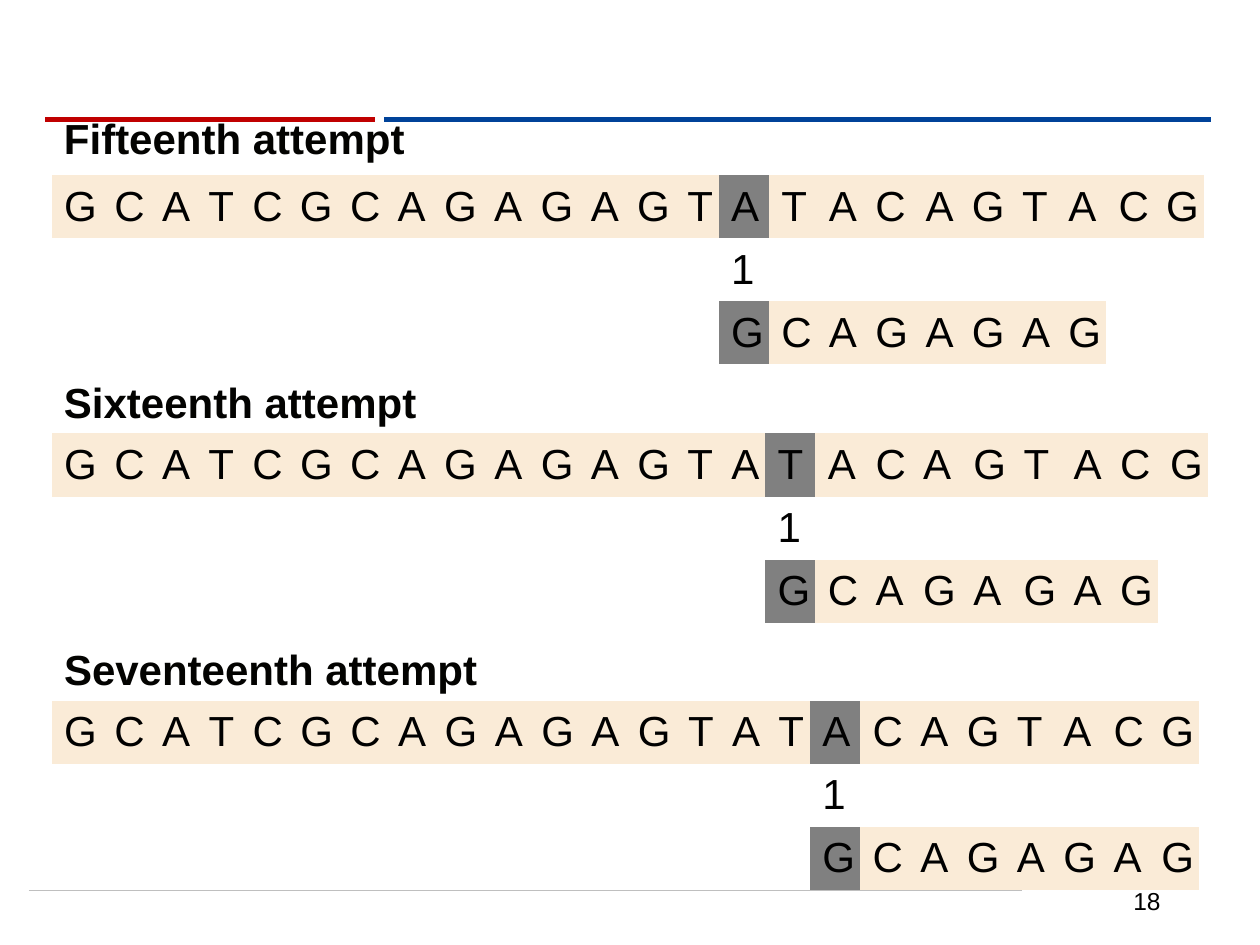
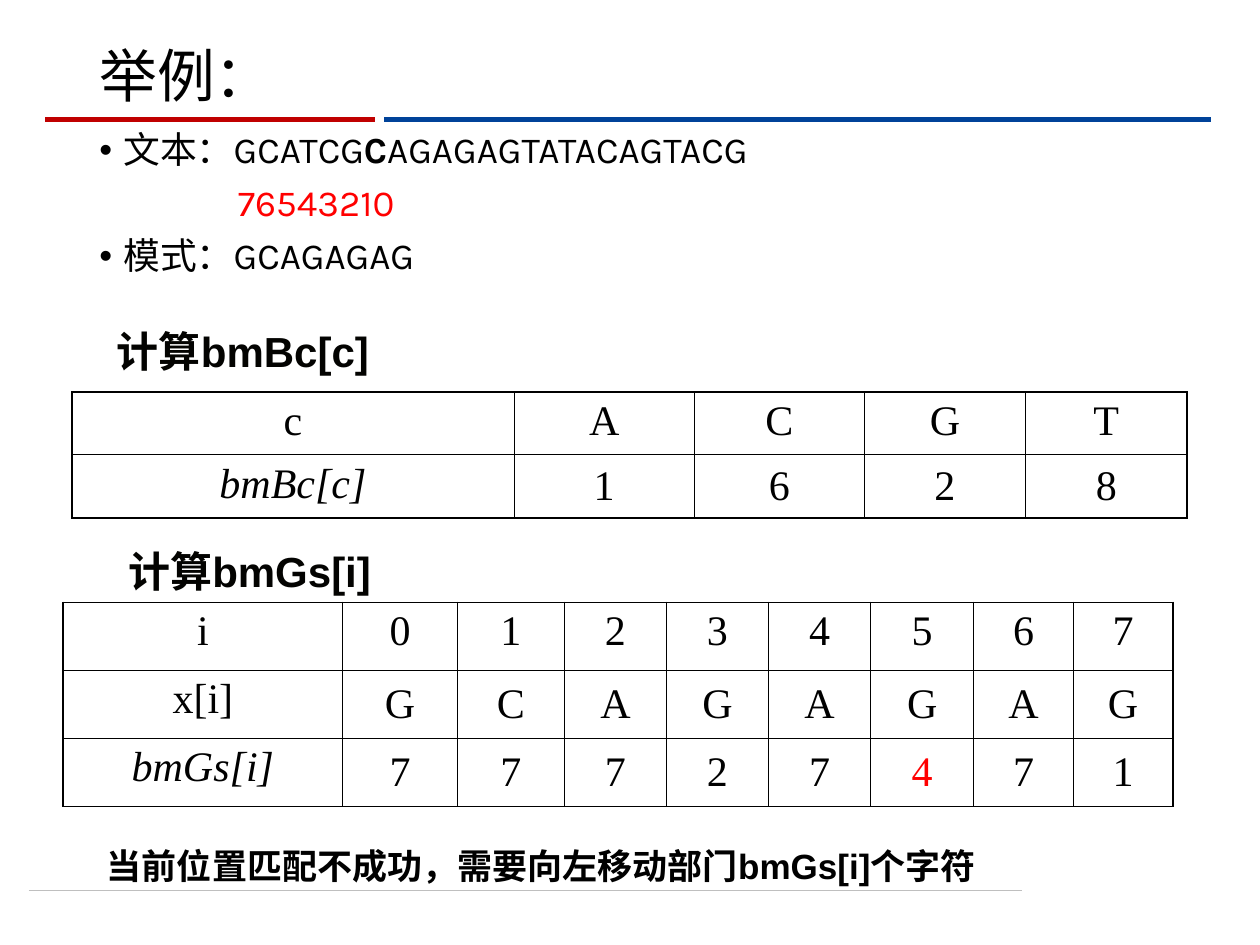
from dataclasses import dataclass
from typing import Any, Optional

from lxml.etree import SubElement
from pptx import Presentation
from pptx.dml.color import RGBColor
from pptx.enum.shapes import MSO_CONNECTOR
from pptx.enum.text import MSO_ANCHOR, PP_ALIGN
from pptx.oxml.ns import qn
from pptx.slide import Slide
from pptx.table import Table, _Cell
from pptx.text.text import TextFrame
from pptx.util import Inches, Pt

BLACK = RGBColor(0x00, 0x00, 0x00)
HEADING_INK = RGBColor(0x03, 0x03, 0x01)
RED = RGBColor(0xFF, 0x00, 0x00)
WHITE = RGBColor(0xFF, 0xFF, 0xFF)
BAND_RED = RGBColor(0xC0, 0x00, 0x00)
BAND_BLUE = RGBColor(0x00, 0x42, 0x99)
FOOTER_GRAY = RGBColor(0xBF, 0xBF, 0xBF)
SEQUENCE_FILL = RGBColor(0xFA, 0xEB, 0xD7)
COMPARED_FILL = RGBColor(0x80, 0x80, 0x80)

TITLE = {"name": "Karla", "size": Pt(33)}
BODY = {"name": "Karla", "size": Pt(21)}
HEADING = {"name": "Arial", "size": Pt(24), "bold": True}
CONCLUSION = {"name": "Arial", "size": Pt(20), "bold": True}
PAGE_NUMBER = {"name": "Arial", "size": Pt(14)}
LETTER = {"name": "Arial", "size": Pt(24)}
VALUE = {"name": "Times New Roman", "size": Pt(24)}

NO_GRID_STYLE = "{2D5ABB26-0587-4C30-8999-92F81FD0307C}"
TEXT = "GCATCGCAGAGAGTATACAGTACG"
PATTERN = "GCAGAGAG"
SHARED_WIDTHS = [0.4, 0.38, 0.37, 0.35, 0.38, 0.4, 0.38, 0.37, 0.4, 0.37, 0.4, 0.37, 0.4, 0.35]


@dataclass(frozen=True)
class Rule:
    """A horizontal line shared by the slides."""

    left: float
    right: float
    top: float
    color: RGBColor
    weight: float


@dataclass(frozen=True)
class Label:
    """A text box with one line of text."""

    text: str
    box: tuple[float, float, float, float]
    font: dict[str, Any]
    color: RGBColor = BLACK
    anchor: MSO_ANCHOR = MSO_ANCHOR.TOP
    align: PP_ALIGN = PP_ALIGN.LEFT
    spacing: float = 1.0


@dataclass(frozen=True)
class Attempt:
    """One alignment of the pattern under the text."""

    name: str
    name_top: float
    name_width: float
    top: float
    width: float
    shift: int
    last_widths: list[float]


@dataclass(frozen=True)
class ShiftTable:
    """A table of shift values with a heading above it."""

    heading: Label
    left: float
    top: float
    widths: list[float]
    row_height: float
    rows: list[list[str]]
    marked: Optional[tuple[int, int]] = None


RULES = [
    Rule(0.23, 8.11, 7.07, FOOTER_GRAY, 0.5),
    Rule(3.05, 9.61, 0.95, BAND_BLUE, 3),
    Rule(0.36, 2.98, 0.95, BAND_RED, 3),
]

ATTEMPTS = [
    Attempt("Fifteenth attempt", 0.84, 2.97, 1.39, 9.15, 14,
            [0.4, 0.38, 0.37, 0.4, 0.37, 0.4, 0.37, 0.4, 0.38, 0.4]),
    Attempt("Sixteenth attempt", 2.94, 3.07, 3.44, 9.18, 15,
            [0.37, 0.4, 0.38, 0.38, 0.4, 0.4, 0.4, 0.37, 0.4, 0.4]),
    Attempt("Seventeenth attempt", 5.06, 3.55, 5.56, 9.11, 16,
            [0.37, 0.35, 0.4, 0.38, 0.37, 0.4, 0.37, 0.4, 0.38, 0.4]),
]

SHIFT_TABLES = [
    ShiftTable(
        Label("计算bmBc[c]", (0.83, 2.61, 8, 0.42), HEADING, HEADING_INK, spacing=0.8),
        0.57, 3.11, [3.51, 1.43, 1.35, 1.28, 1.28], 0.5,
        [["c", *"ACGT"], ["bmBc[c]", *"1628"]],
    ),
    ShiftTable(
        Label("计算bmGs[i]", (0.92, 4.36, 8, 0.42), HEADING, HEADING_INK, spacing=0.8),
        0.5, 4.78, [2.22, 0.91, 0.85, 0.81, 0.81, 0.81, 0.82, 0.79, 0.79], 0.54,
        [["i", *"01234567"], ["x[i]", *PATTERN], ["bmGs[i]", *"77727471"]],
        marked=(2, 6),
    ),
]


def set_format(target: Any, values: dict[str, Any]) -> None:
    """Set each named attribute of the target."""
    for attribute, value in values.items():
        setattr(target, attribute, value)


def add_run(paragraph: Any, text: str, font: dict[str, Any], color: RGBColor) -> None:
    """Append a formatted run to the paragraph."""
    run = paragraph.add_run()
    run.text = text
    set_format(run.font, font)
    run.font.color.rgb = color


def add_frame(slide: Slide, box: tuple[float, float, float, float]) -> TextFrame:
    """Add a wrapping text box and return its frame."""
    frame = slide.shapes.add_textbox(*map(Inches, box)).text_frame
    frame.word_wrap = True
    return frame


def draw_label(slide: Slide, label: Label) -> None:
    """Draw one line of text."""
    frame = add_frame(slide, label.box)
    frame.vertical_anchor = label.anchor
    paragraph = frame.paragraphs[0]
    set_format(paragraph, {"alignment": label.align, "line_spacing": label.spacing})
    add_run(paragraph, label.text, label.font, label.color)


def draw_rule(slide: Slide, rule: Rule) -> None:
    """Draw a horizontal line without a shadow."""
    ends = map(Inches, (rule.left, rule.top, rule.right, rule.top))
    connector = slide.shapes.add_connector(MSO_CONNECTOR.STRAIGHT, *ends)
    connector.line.color.rgb = rule.color
    connector.line.width = Pt(rule.weight)
    SubElement(connector._element.spPr, qn("a:effectLst"))


def add_plain_table(slide: Slide, left: float, top: float, widths: list[float],
                    row_height: float, row_count: int) -> Table:
    """Add a table that has no style and the given grid."""
    size = Inches(sum(widths)), Inches(row_height * row_count)
    table = slide.shapes.add_table(
        row_count, len(widths), Inches(left), Inches(top), *size).table
    set_format(table, {"first_row": False, "horz_banding": False})
    table._tbl.tblPr.find(qn("a:tableStyleId")).text = NO_GRID_STYLE
    for column, width in zip(table.columns, widths):
        column.width = Inches(width)
    for row in table.rows:
        row.height = Inches(row_height)
    return table


def fill_cell(cell: _Cell, text: str, font: dict[str, Any], color: RGBColor = BLACK,
              anchor: MSO_ANCHOR = MSO_ANCHOR.MIDDLE, align: PP_ALIGN = PP_ALIGN.LEFT) -> None:
    """Write formatted text into a table cell."""
    cell.vertical_anchor = anchor
    paragraph = cell.text_frame.paragraphs[0]
    paragraph.alignment = align
    add_run(paragraph, text, font, color)


def add_borders(cell: _Cell, weights: dict[str, float]) -> None:
    """Give the cell a black border on each listed side."""
    properties = cell._tc.get_or_add_tcPr()
    for side, weight in weights.items():
        border = SubElement(properties, qn(f"a:ln{side}"), w=str(Pt(weight)))
        fill = SubElement(border, qn("a:solidFill"))
        SubElement(fill, qn("a:srgbClr"), val=str(BLACK))


def draw_attempt(slide: Slide, attempt: Attempt) -> None:
    """Draw the text, the comparison number and the shifted pattern."""
    draw_label(slide, Label(attempt.name, (0.41, attempt.name_top, attempt.name_width, 0.5),
                            HEADING, HEADING_INK, MSO_ANCHOR.MIDDLE))
    widths = SHARED_WIDTHS + attempt.last_widths
    scale = attempt.width / sum(widths)
    table = add_plain_table(slide, 0.41, attempt.top, [width * scale for width in widths], 0.5, 3)
    shift, last = attempt.shift, len(TEXT) - 1
    for row, (start, letters) in enumerate([(0, TEXT), (shift, "1"), (shift, PATTERN)]):
        end = start + len(letters)
        for column in range(len(TEXT)):
            cell = table.cell(row, column)
            cell.fill.solid()
            if row == 1 or not start <= column < end:
                cell.fill.fore_color.rgb = WHITE
            else:
                cell.fill.fore_color.rgb = COMPARED_FILL if column == shift else SEQUENCE_FILL
            if start <= column < end:
                fill_cell(cell, letters[column - start], LETTER)
        for first, final in ((0, start - 1), (end, last)):
            if first < final:
                table.cell(row, first).merge(table.cell(row, final))


def draw_shift_table(slide: Slide, shifts: ShiftTable) -> None:
    """Draw a bordered value table and its heading."""
    draw_label(slide, shifts.heading)
    last_row, last_column = len(shifts.rows) - 1, len(shifts.widths) - 1
    table = add_plain_table(slide, shifts.left, shifts.top, shifts.widths,
                            shifts.row_height, len(shifts.rows))
    for row, values in enumerate(shifts.rows):
        for column, value in enumerate(values):
            cell = table.cell(row, column)
            outer = {"L": column == 0, "R": column == last_column,
                     "T": row == 0, "B": row == last_row}
            add_borders(cell, {side: 1 if edge else 0.75 for side, edge in outer.items()})
            cell.fill.background()
            is_header = row == 0 or column == 0
            fill_cell(cell, value, VALUE | {"italic": column == 0 and row == last_row},
                      RED if (row, column) == shifts.marked else BLACK,
                      MSO_ANCHOR.TOP if is_header else MSO_ANCHOR.MIDDLE, PP_ALIGN.CENTER)


def draw_inputs(slide: Slide) -> None:
    """Draw the text and the pattern with the position digits between them."""
    frame = add_frame(slide, (0.69, 1, 8.62, 4.89))
    lines = [
        (True, BLACK, [("文本：GCATCG", False), ("C", True), ("AGAGAGTATACAGTACG", False)]),
        (False, RED, [("76543210", False)]),
        (True, BLACK, [("模式：GCAGAGAG", False)]),
    ]
    for index, (bulleted, color, pieces) in enumerate(lines):
        paragraph = frame.add_paragraph() if index else frame.paragraphs[0]
        set_format(paragraph, {"line_spacing": 0.9, "space_before": Pt(7.5 if index else 0)})
        properties = paragraph._p.get_or_add_pPr()
        properties.set("marL", str(Inches(0.19 if bulleted else 1.1)))
        if bulleted:
            properties.set("indent", str(Inches(-0.19)))
            SubElement(properties, qn("a:buFont"), typeface="Arial")
            SubElement(properties, qn("a:buChar"), char="•")
        for text, bold in pieces:
            add_run(paragraph, text, BODY | {"bold": bold}, color)


def main() -> None:
    """Build both slides and save the presentation."""
    deck = Presentation()
    set_format(deck, {"slide_width": Inches(10), "slide_height": Inches(7.5)})
    attempts_slide, example_slide = (
        deck.slides.add_slide(deck.slide_layouts[6]) for _ in range(2))
    for slide in (attempts_slide, example_slide):
        for rule in RULES:
            draw_rule(slide, rule)

    draw_label(attempts_slide, Label("18", (7.06, 6.95, 2.25, 0.4), PAGE_NUMBER,
                                     anchor=MSO_ANCHOR.MIDDLE, align=PP_ALIGN.RIGHT))
    for attempt in ATTEMPTS:
        draw_attempt(attempts_slide, attempt)

    draw_label(example_slide, Label("举例：", (0.69, 0, 8.62, 1.25), TITLE,
                                    anchor=MSO_ANCHOR.MIDDLE, spacing=0.9))
    draw_inputs(example_slide)
    for shifts in SHIFT_TABLES:
        draw_shift_table(example_slide, shifts)
    draw_label(example_slide, Label("当前位置匹配不成功，需要向左移动部门bmGs[i]个字符",
                                    (0.75, 6.65, 8.61, 0.44), CONCLUSION))
    deck.save("out.pptx")


if __name__ == "__main__":
    main()
